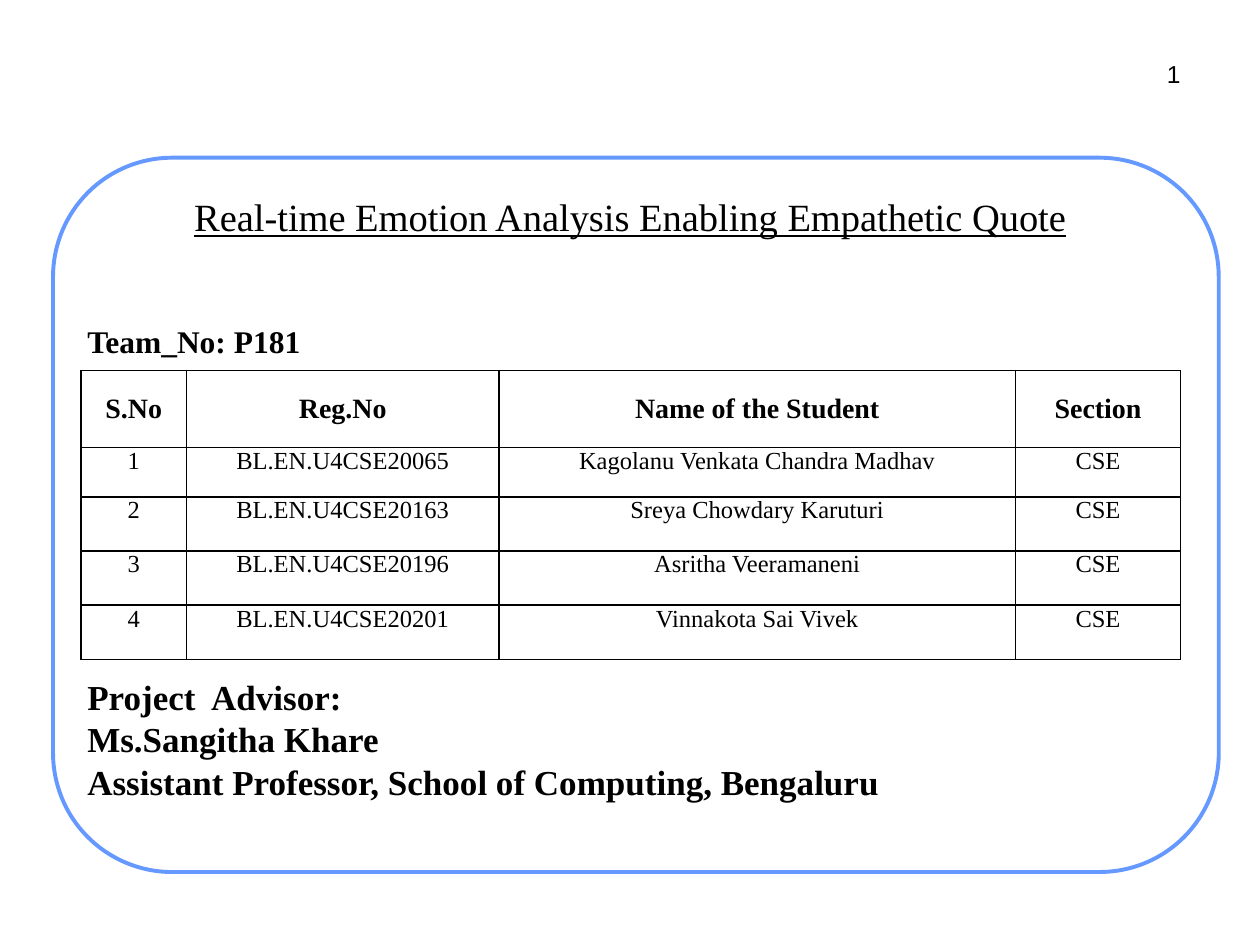
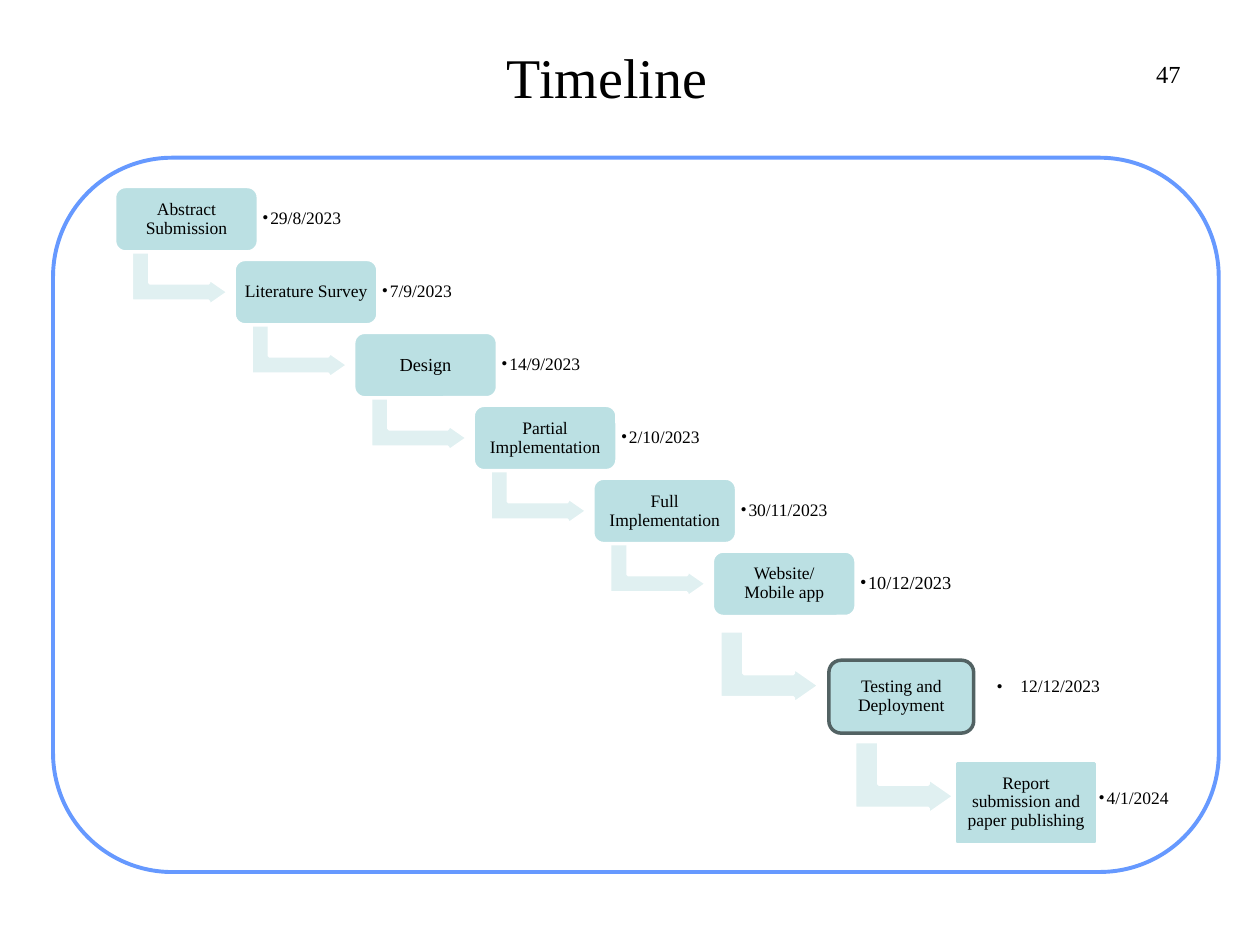
from dataclasses import dataclass

from lxml import etree
from pptx import Presentation
from pptx.dml.color import RGBColor
from pptx.enum import shapes, text
from pptx.oxml.ns import qn
from pptx.util import Cm, Pt

SERIF, SANS = "Times New Roman", "Arial"
BLACK, WHITE, FRAME_BLUE = "000000", "FFFFFF", "6699FF"
STEP_FILL, ARROW_FILL, TESTING_EDGE = "BBE0E3", "E0F0F1", "526263"
LEFT, CENTER, RIGHT = text.PP_ALIGN.LEFT, text.PP_ALIGN.CENTER, text.PP_ALIGN.RIGHT
TOP, MIDDLE = text.MSO_ANCHOR.TOP, text.MSO_ANCHOR.MIDDLE
RECT = shapes.MSO_SHAPE.RECTANGLE
ROUNDED = shapes.MSO_SHAPE.ROUNDED_RECTANGLE
BENT_ARROW = shapes.MSO_SHAPE.BENT_UP_ARROW


@dataclass(frozen=True)
class Box:
    """A place on the slide, in centimetres."""
    left: float
    top: float
    width: float
    height: float

    def lengths(self) -> tuple:
        return Cm(self.left), Cm(self.top), Cm(self.width), Cm(self.height)


@dataclass(frozen=True)
class Style:
    size: float
    font: str = SERIF
    bold: bool = False
    underline: bool = False
    align: int = LEFT
    anchor: int = TOP
    inset: float = 0.13
    line_spacing: float = 1.0
    space_before: float = 0
    bullet_indent: float = 0


@dataclass(frozen=True)
class Milestone:
    label: str
    date: str
    label_size: float = 10
    date_size: float = 10


@dataclass(frozen=True)
class Step:
    """A milestone with the places of its box and its date."""
    milestone: Milestone
    box: Box
    date_box: Box
    kind: int = ROUNDED
    edge: str = WHITE
    bullet_indent: float = 0.16
    date_inset: float = 0.08


TITLE = Style(32, align=CENTER, anchor=MIDDLE)
TOPIC = Style(22, underline=True, align=CENTER, anchor=MIDDLE)
TEAM = Style(18, bold=True, line_spacing=0.8)
ADVISOR = Style(20, bold=True, line_spacing=0.8, space_before=5)
HEADER_CELL = Style(16, bold=True, align=CENTER, anchor=MIDDLE, inset=0)
BODY_CELL = Style(14, align=CENTER, inset=0)

STUDENTS = [
    ("S.No", "Reg.No", "Name of the Student", "Section"),
    ("1", "BL.EN.U4CSE20065", "Kagolanu Venkata Chandra Madhav", "CSE"),
    ("2", "BL.EN.U4CSE20163", "Sreya Chowdary Karuturi", "CSE"),
    ("3", "BL.EN.U4CSE20196", "Asritha Veeramaneni", "CSE"),
    ("4", "BL.EN.U4CSE20201", "Vinnakota Sai Vivek", "CSE"),
]
COLUMN_WIDTHS = [2.13, 6.3, 10.41, 3.33]
ROW_HEIGHTS = [1.55, 1.0, 1.09, 1.09, 1.09]

STAIRS = [
    Milestone("Abstract Submission", "29/8/2023"),
    Milestone("Literature Survey", "7/9/2023"),
    Milestone("Design", "14/9/2023", label_size=10.5),
    Milestone("Partial Implementation", "2/10/2023"),
    Milestone("Full Implementation", "30/11/2023"),
    Milestone("Website/\nMobile app", "10/12/2023", date_size=10.5),
]
FINAL_STEPS = [
    Step(Milestone("Testing and Deployment", "12/12/2023"),
         Box(16.71, 13.31, 2.92, 1.47), Box(19.84, 13.51, 3.25, 0.69),
         edge=TESTING_EDGE, bullet_indent=0.48, date_inset=0.25),
    Step(Milestone("Report submission and paper publishing", "4/1/2024"),
         Box(19.3, 15.39, 2.77, 1.57), Box(22.07, 15.39, 2.34, 1.42),
         kind=RECT, edge=STEP_FILL),
]
FINAL_ARROWS = [Box(14.78, 12.45, 1.47, 2.01), Box(17.5, 14.68, 1.47, 2.01)]


def rgb(value: str) -> RGBColor:
    return RGBColor.from_string(value)


def add_bullet(paragraph, indent: float) -> None:
    properties = paragraph._p.get_or_add_pPr()
    properties.set("marL", str(Cm(indent)))
    properties.set("indent", str(-Cm(indent)))
    color = etree.SubElement(properties, qn("a:buClr"))
    etree.SubElement(color, qn("a:srgbClr"), val=BLACK)
    etree.SubElement(properties, qn("a:buFont"), typeface=SERIF)
    etree.SubElement(properties, qn("a:buChar"), char="•")


def write(frame, content: str, style: Style) -> None:
    """Fill a text frame with one paragraph for each line of content."""
    for number, line in enumerate(content.split("\n")):
        paragraph = frame.add_paragraph() if number else frame.paragraphs[0]
        if style.bullet_indent:
            add_bullet(paragraph, style.bullet_indent)
        paragraph.alignment = style.align
        paragraph.line_spacing = style.line_spacing
        if number:
            paragraph.space_before = Pt(style.space_before)
        run = paragraph.add_run()
        run.text = line
        run.font.name = style.font
        run.font.size = Pt(style.size)
        run.font.bold = style.bold
        run.font.underline = style.underline
        run.font.color.rgb = rgb(BLACK)


def write_in_shape(shape, content: str, style: Style) -> None:
    frame = shape.text_frame
    frame.word_wrap = True
    frame.vertical_anchor = style.anchor
    frame.margin_left = frame.margin_right = Cm(style.inset)
    frame.margin_top = frame.margin_bottom = Cm(min(style.inset, 0.13))
    write(frame, content, style)


def add_text(slide, box: Box, content: str, style: Style) -> None:
    write_in_shape(slide.shapes.add_textbox(*box.lengths()), content, style)


def add_shape(slide, kind: int, box: Box, fill: str, edge: str, weight: float = 2):
    shape = slide.shapes.add_shape(kind, *box.lengths())
    shape.shadow.inherit = False
    shape.fill.solid()
    shape.fill.fore_color.rgb = rgb(fill)
    shape.line.color.rgb = rgb(edge)
    shape.line.width = Pt(weight)
    return shape


def add_framed_slide(deck, number: str, number_font: str):
    slide = deck.slides.add_slide(deck.slide_layouts[6])
    add_shape(slide, ROUNDED, Box(1.07, 3.18, 23.5, 14.4), WHITE, FRAME_BLUE, 2.25)
    add_text(slide, Box(23.09, 1.07, 0.84, 0.84), number,
             Style(14, font=number_font, align=RIGHT))
    return slide


def add_borders(cell) -> None:
    properties = cell._tc.get_or_add_tcPr()
    for position, side in enumerate(("lnL", "lnR", "lnT", "lnB")):
        line = etree.Element(qn(f"a:{side}"), w=str(Pt(1)))
        fill = etree.SubElement(line, qn("a:solidFill"))
        etree.SubElement(fill, qn("a:srgbClr"), val=BLACK)
        properties.insert(position, line)


def add_student_table(slide) -> None:
    box = Box(1.63, 7.47, sum(COLUMN_WIDTHS), sum(ROW_HEIGHTS))
    table = slide.shapes.add_table(
        len(STUDENTS), len(COLUMN_WIDTHS), *box.lengths()).table
    table.first_row = table.horz_banding = False
    for column, width in zip(table.columns, COLUMN_WIDTHS):
        column.width = Cm(width)
    for row, height, values in zip(table.rows, ROW_HEIGHTS, STUDENTS):
        row.height = Cm(height)
        style = HEADER_CELL if values is STUDENTS[0] else BODY_CELL
        for cell, value in zip(row.cells, values):
            cell.fill.background()
            add_borders(cell)
            cell.vertical_anchor = style.anchor
            cell.margin_left = cell.margin_right = Cm(style.inset)
            cell.margin_top = cell.margin_bottom = Cm(style.inset)
            write(cell.text_frame, value, style)


def add_arrow(slide, box: Box) -> None:
    """Draw a bent arrow that goes down, then right; box is before rotation."""
    arrow = add_shape(slide, BENT_ARROW, box, ARROW_FILL, WHITE)
    arrow.rotation = 90
    for index, value in enumerate((0.33, 0.25, 0.36)):
        arrow.adjustments[index] = value


def add_step(slide, step: Step) -> None:
    milestone = step.milestone
    shape = add_shape(slide, step.kind, step.box, STEP_FILL, step.edge)
    write_in_shape(shape, milestone.label, Style(
        milestone.label_size, align=CENTER, anchor=MIDDLE, inset=0.1,
        line_spacing=0.9))
    add_text(slide, step.date_box, milestone.date, Style(
        milestone.date_size, anchor=MIDDLE, inset=step.date_inset,
        line_spacing=0.9, bullet_indent=step.bullet_indent))


def add_stairs(slide) -> None:
    width, height = 2.9, 1.32
    for index, milestone in enumerate(STAIRS):
        left, top = 2.31 + 2.41 * index, 3.76 + 1.47 * index
        if index < len(STAIRS) - 1:
            add_arrow(slide, Box(left + 0.76, top + 0.87, 1.12, 1.96))
        add_step(slide, Step(milestone, Box(left, top, width, height),
                             Box(left + width, top + 0.12, 2.11, 1.07)))


def build_team_slide(deck) -> None:
    slide = add_framed_slide(deck, "1", SANS)
    add_text(slide, Box(2.01, 3.02, 21.39, 2.69),
             "Real-time Emotion Analysis Enabling Empathetic Quote", TOPIC)
    add_text(slide, Box(1.63, 6.5, 12, 0.9), "Team_No: P181", TEAM)
    add_student_table(slide)
    add_text(slide, Box(1.63, 13.65, 22, 2.9),
             "Project  Advisor:\nMs.Sangitha Khare\n"
             "Assistant Professor, School of Computing, Bengaluru", ADVISOR)


def build_timeline_slide(deck) -> None:
    slide = add_framed_slide(deck, "47", SERIF)
    add_text(slide, Box(0.81, 0.51, 22.86, 2.06), "Timeline", TITLE)
    add_stairs(slide)
    for arrow, step in zip(FINAL_ARROWS, FINAL_STEPS):
        add_arrow(slide, arrow)
        add_step(slide, step)


def main() -> None:
    deck = Presentation()
    deck.slide_width, deck.slide_height = Cm(25.4), Cm(19.05)
    build_team_slide(deck)
    build_timeline_slide(deck)
    deck.save("out.pptx")


if __name__ == "__main__":
    main()
